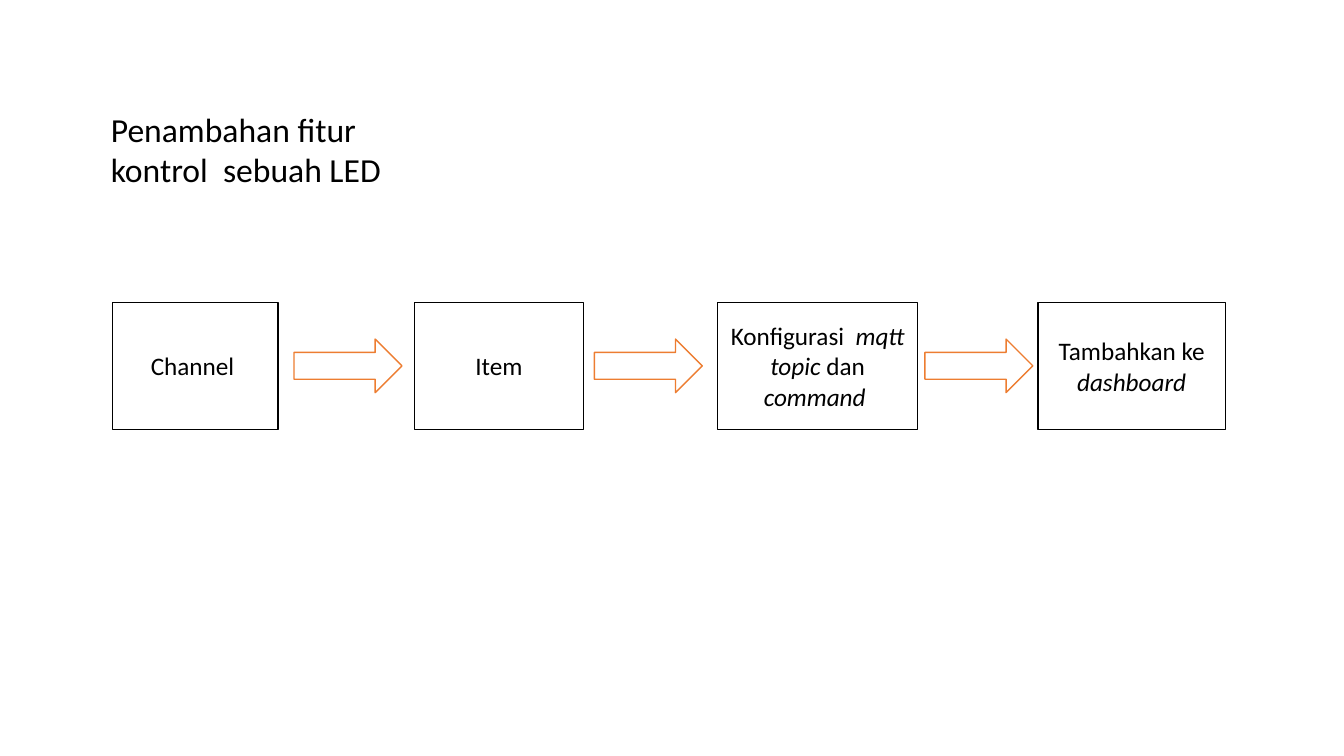
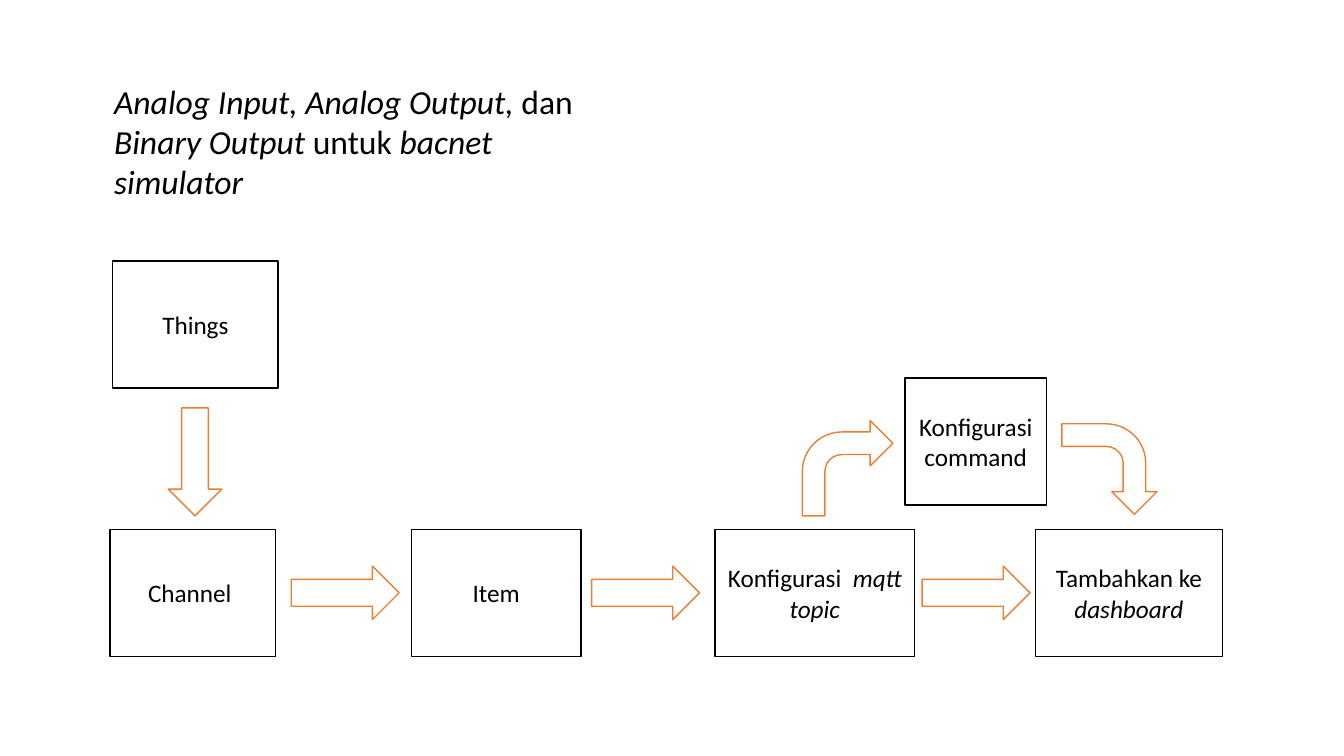
"""Build two flow diagrams: LED control and bacnet simulator."""
from dataclasses import dataclass
from typing import NamedTuple

from pptx import Presentation
from pptx.dml.color import RGBColor
from pptx.enum.shapes import MSO_SHAPE as Preset
from pptx.enum.text import MSO_ANCHOR as Anchor, MSO_AUTO_SIZE as AutoSize, PP_ALIGN as Align
from pptx.util import Cm, Pt

BLACK, WHITE, ORANGE = "000000", "FFFFFF", "ED7D31"
FONT = "Calibri"
TITLE_SIZE, BOX_SIZE = 24, 18
BOX_HEIGHT = 3.2
ARROW_LENGTH, ARROW_WIDTH = 2.72, 1.35
ARROW_DROP = (BOX_HEIGHT - ARROW_WIDTH) / 2
TITLE_ONLY = 5


class Piece(NamedTuple):
    text: str
    italic: bool = False


class Area(NamedTuple):
    left: float
    top: float
    width: float
    height: float


@dataclass(frozen=True)
class Box:
    area: Area
    pieces: tuple[Piece, ...]


@dataclass(frozen=True)
class Arrow:
    area: Area
    preset: Preset = Preset.RIGHT_ARROW
    rotation: int = 0


@dataclass(frozen=True)
class Diagram:
    title_area: Area
    title: tuple[Piece, ...]
    boxes: list[Box]
    arrows: list[Arrow]


STEP_SPANS = ((0, 4.17), (7.6, 4.27), (15.25, 5.03), (23.32, 4.72))
ARROW_OFFSETS = (4.57, 12.14, 20.47)
CHANNEL = (Piece("Channel "),)
ITEM = (Piece("Item"),)
TOPIC = (Piece("Konfigurasi  "), Piece("mqtt topic", True))
TOPIC_AND_COMMAND = TOPIC + (Piece(" dan "), Piece("command ", True))
DASHBOARD = (Piece("Tambahkan ke "), Piece("dashboard", True))


def color(value: str) -> RGBColor:
    """Turn a hex string into a colour."""
    return RGBColor.from_string(value)


def step_boxes(left: float, top: float, topic: tuple[Piece, ...]) -> list[Box]:
    """Place the four steps of the main row."""
    texts = (CHANNEL, ITEM, topic, DASHBOARD)
    return [Box(Area(left + offset, top, width, BOX_HEIGHT), text)
            for (offset, width), text in zip(STEP_SPANS, texts)]


def step_arrows(left: float, top: float) -> list[Arrow]:
    """Place the arrows between the steps of the main row."""
    return [Arrow(Area(left + offset, top + ARROW_DROP, ARROW_LENGTH, ARROW_WIDTH))
            for offset in ARROW_OFFSETS]


def write(shape, pieces: tuple[Piece, ...], size: int, alignment: Align) -> None:
    """Write the pieces as runs of one paragraph."""
    shape.text_frame.word_wrap = True
    paragraph = shape.text_frame.paragraphs[0]
    paragraph.alignment = alignment
    for piece in pieces:
        run = paragraph.add_run()
        run.text = piece.text
        run.font.name = FONT
        run.font.size = Pt(size)
        run.font.italic = piece.italic
        run.font.color.rgb = color(BLACK)


def draw_outline(slide, preset: Preset, area: Area, line: str):
    """Draw a white preset shape with a thin coloured line."""
    shape = slide.shapes.add_shape(preset, *map(Cm, area))
    shape.shadow.inherit = False
    shape.fill.solid()
    shape.fill.fore_color.rgb = color(WHITE)
    shape.line.color.rgb = color(line)
    shape.line.width = Pt(1)
    return shape


def draw_title(slide, area: Area, pieces: tuple[Piece, ...]) -> None:
    """Move, format and fill the title placeholder."""
    title = slide.shapes.title
    title.left, title.top, title.width, title.height = map(Cm, area)
    title.text_frame.auto_size = AutoSize.SHAPE_TO_FIT_TEXT
    title.text_frame.vertical_anchor = Anchor.TOP
    write(title, pieces, TITLE_SIZE, Align.LEFT)


def draw_box(slide, box: Box) -> None:
    """Draw a step with its centred label."""
    shape = draw_outline(slide, Preset.RECTANGLE, box.area, BLACK)
    shape.text_frame.vertical_anchor = Anchor.MIDDLE
    write(shape, box.pieces, BOX_SIZE, Align.CENTER)


def draw_arrow(slide, arrow: Arrow) -> None:
    """Draw a block arrow."""
    shape = draw_outline(slide, arrow.preset, arrow.area, ORANGE)
    shape.rotation = arrow.rotation


def draw_diagram(presentation, diagram: Diagram) -> None:
    """Add a slide that shows one diagram."""
    slide = presentation.slides.add_slide(presentation.slide_layouts[TITLE_ONLY])
    draw_title(slide, diagram.title_area, diagram.title)
    for box in diagram.boxes:
        draw_box(slide, box)
    for arrow in diagram.arrows:
        draw_arrow(slide, arrow)


LED_CONTROL = Diagram(
    Area(2.54, 2.62, 7.62, 2.31),
    (Piece("Penambahan fitur kontrol  sebuah LED"),),
    step_boxes(2.84, 7.62, TOPIC_AND_COMMAND),
    step_arrows(2.84, 7.62),
)

BACNET_SIMULATOR = Diagram(
    Area(2.62, 1.9, 12.9, 3.33),
    (
        Piece("Analog Input, Analog Output,", True),
        Piece(" dan "),
        Piece("Binary Output ", True),
        Piece("untuk "),
        Piece("bacnet simulator", True),
    ),
    step_boxes(2.77, 13.34, TOPIC) + [
        Box(Area(2.84, 6.58, 4.17, BOX_HEIGHT), (Piece("Things"),)),
        Box(Area(22.81, 9.53, 3.56, BOX_HEIGHT), (Piece("Konfigurasi command"),)),
    ],
    step_arrows(2.77, 13.34) + [
        Arrow(Area(4.24, 10.28, ARROW_WIDTH, ARROW_LENGTH), Preset.DOWN_ARROW),
        Arrow(Area(20.22, 10.6, 2.28, 2.4), Preset.BENT_ARROW),
        Arrow(Area(26.82, 10.62, 2.28, 2.4), Preset.BENT_ARROW, 90),
    ],
)


def main() -> None:
    """Build and save the presentation."""
    presentation = Presentation()
    presentation.slide_width, presentation.slide_height = Cm(33.87), Cm(19.05)
    for diagram in (LED_CONTROL, BACNET_SIMULATOR):
        draw_diagram(presentation, diagram)
    presentation.save("out.pptx")


if __name__ == "__main__":
    main()
